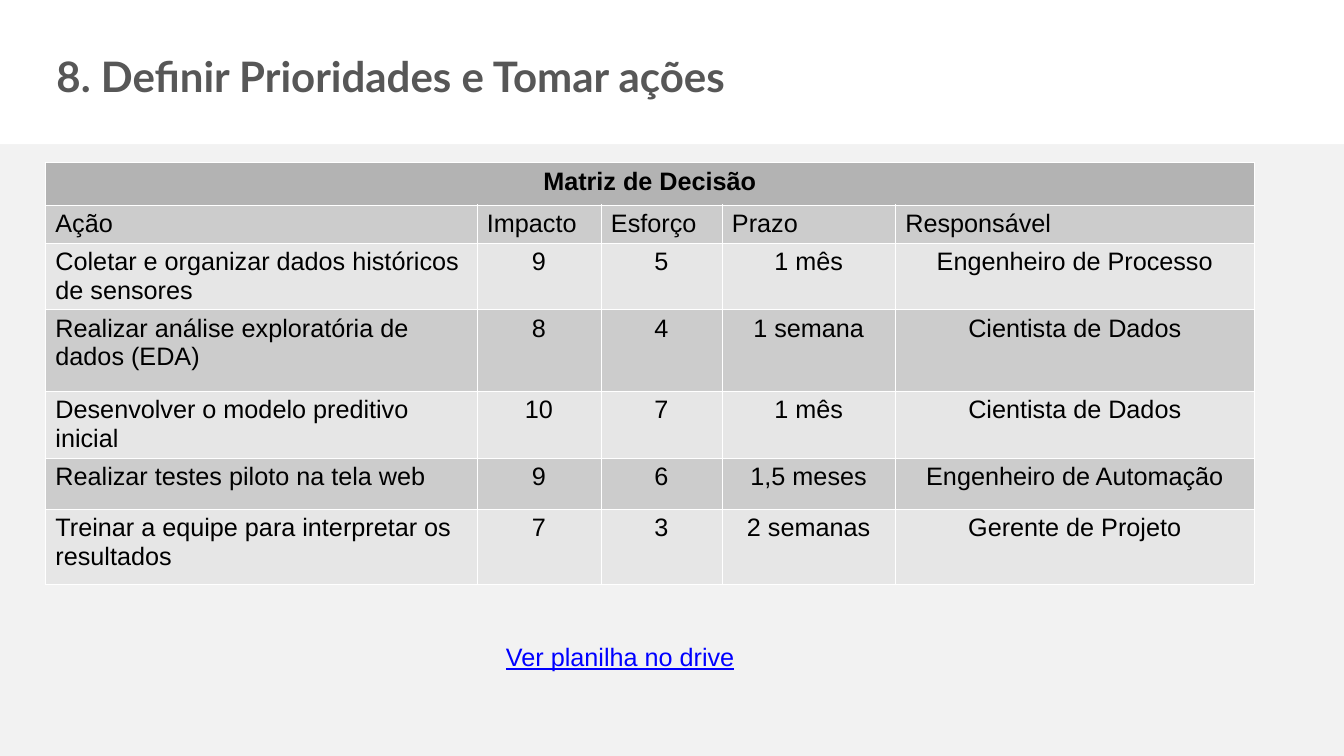
from dataclasses import dataclass

from lxml import etree
from pptx import Presentation
from pptx.dml.color import RGBColor
from pptx.enum.shapes import MSO_SHAPE
from pptx.enum.text import MSO_ANCHOR, PP_ALIGN
from pptx.oxml.ns import qn
from pptx.util import Inches, Pt

RECTANGLE = MSO_SHAPE.RECTANGLE
MIDDLE = MSO_ANCHOR.MIDDLE
LEFT, CENTER = PP_ALIGN.LEFT, PP_ALIGN.CENTER


@dataclass(frozen=True)
class Theme:
    backdrop: str = "F2F2F2"
    white: str = "FFFFFF"
    title: str = "575757"
    text: str = "000000"
    link: str = "0000FF"
    table_title: str = "B3B3B3"
    bands: tuple = ("CCCCCC", "E6E6E6")
    title_font: str = "Lato"
    body_font: str = "Arial"
    title_size: int = 30
    body_size: int = 18
    border_width: float = 0.06


THEME = Theme()
BODY = {"name": THEME.body_font, "size": Pt(THEME.body_size), "bold": False}


def write(text_frame, text, color, alignment, font_format):
    paragraph = text_frame.paragraphs[0]
    paragraph.alignment = alignment
    run = paragraph.add_run()
    run.text = text
    for attribute, value in font_format.items():
        setattr(run.font, attribute, value)
    run.font.color.rgb = RGBColor.from_string(color)


def add_borders(cell):
    properties = cell._tc.get_or_add_tcPr()
    for index, side in enumerate(("a:lnL", "a:lnR", "a:lnT", "a:lnB")):
        line = etree.Element(qn(side), w=str(Pt(THEME.border_width)))
        fill = etree.SubElement(line, qn("a:solidFill"))
        etree.SubElement(fill, qn("a:srgbClr"), val=THEME.white)
        properties.insert(index, line)


presentation = Presentation()
presentation.slide_width = Inches(13.33)
presentation.slide_height = Inches(7.5)
slide = presentation.slides.add_slide(presentation.slide_layouts[5])

# Grey backdrop and white header band
for height, color in ((7.48, THEME.backdrop), (1.41, THEME.white)):
    band = slide.shapes.add_shape(
        RECTANGLE, 0, Inches(0.02), presentation.slide_width, Inches(height))
    band.shadow.inherit = False
    band.fill.solid()
    band.fill.fore_color.rgb = RGBColor.from_string(color)
    band.line.fill.background()

# Title, brought in front of the bands
title = slide.shapes.title
slide.shapes._spTree.append(title._element)
title.left, title.top = Inches(0.49), Inches(0.21)
title.width, title.height = Inches(11.81), Inches(1.08)
title_frame = title.text_frame
title_format = {
    "margin_left": Inches(0.07), "margin_right": Inches(0.07),
    "margin_top": Inches(0.04), "margin_bottom": Inches(0.04),
    "vertical_anchor": MIDDLE, "word_wrap": True,
}
for attribute, value in title_format.items():
    setattr(title_frame, attribute, value)
write(title_frame, "8. Definir Prioridades e Tomar ações", THEME.title, LEFT,
      {"name": THEME.title_font, "size": Pt(THEME.title_size), "bold": True})

# Decision matrix
matrix = (
    ("Matriz de Decisão", "", "", "", ""),
    ("Ação", "Impacto", "Esforço", "Prazo", "Responsável"),
    ("Coletar e organizar dados históricos de sensores",
     "9", "5", "1 mês", "Engenheiro de Processo"),
    ("Realizar análise exploratória de dados (EDA)",
     "8", "4", "1 semana", "Cientista de Dados"),
    ("Desenvolver o modelo preditivo inicial",
     "10", "7", "1 mês", "Cientista de Dados"),
    ("Realizar testes piloto na tela web",
     "9", "6", "1,5 meses", "Engenheiro de Automação"),
    ("Treinar a equipe para interpretar os resultados",
     "7", "3", "2 semanas", "Gerente de Projeto"),
)
column_widths = (4.28, 1.23, 1.2, 1.72, 3.56)
row_heights = (0.42, 0.38, 0.66, 0.81, 0.66, 0.51, 0.74)
table = slide.shapes.add_table(
    len(matrix), len(column_widths), Inches(0.45), Inches(1.61),
    Inches(sum(column_widths)), Inches(sum(row_heights))).table
for column, width in zip(table.columns, column_widths):
    column.width = Inches(width)
for row, height in zip(table.rows, row_heights):
    row.height = Inches(height)
table.cell(0, 0).merge(table.cell(0, len(column_widths) - 1))

for row_index, values in enumerate(matrix):
    is_title = row_index == 0
    fill_color = THEME.table_title if is_title else THEME.bands[(row_index - 1) % 2]
    for column_index, value in enumerate(values):
        cell = table.cell(row_index, column_index)
        cell.fill.solid()
        cell.fill.fore_color.rgb = RGBColor.from_string(fill_color)
        add_borders(cell)
        if value:
            centered = is_title or (row_index > 1 and column_index > 0)
            write(cell.text_frame, value, THEME.text,
                  CENTER if centered else LEFT, {**BODY, "bold": is_title})

# Spreadsheet reference
reference = slide.shapes.add_textbox(
    Inches(4.92), Inches(6.31), Inches(2.95), Inches(0.58))
reference.text_frame.word_wrap = True
write(reference.text_frame, "Ver planilha no drive", THEME.link, LEFT,
      {**BODY, "underline": True})

presentation.save("out.pptx")
